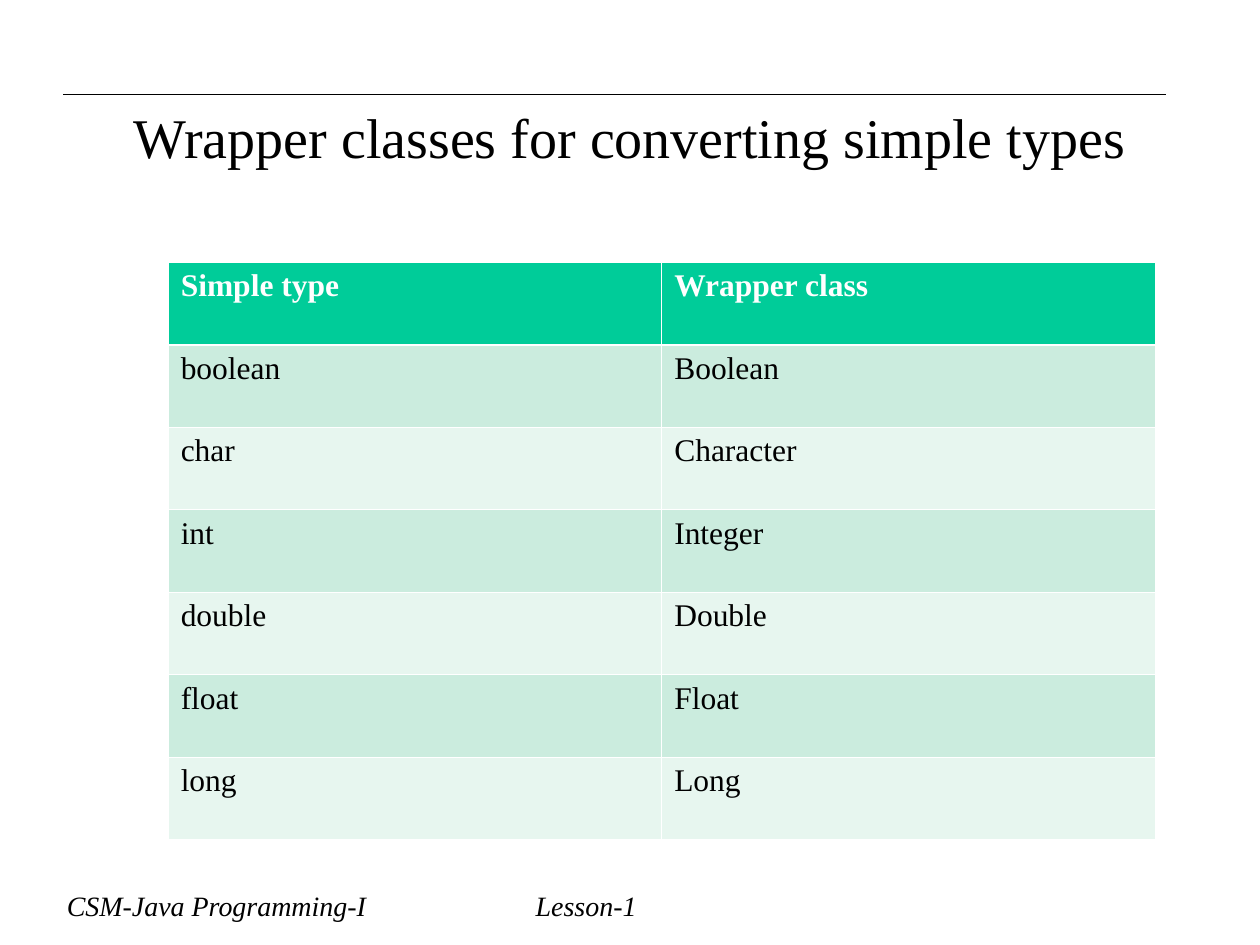
from dataclasses import dataclass

from lxml.etree import SubElement
from pptx import Presentation
from pptx.dml.color import RGBColor
from pptx.enum.shapes import MSO_CONNECTOR as Connector
from pptx.enum.text import MSO_ANCHOR as Anchor, PP_ALIGN as Align
from pptx.oxml import parse_xml
from pptx.oxml.ns import nsdecls, qn
from pptx.util import Cm, Pt

COLOURS = {
    "ink": "000000",
    "paper": "FFFFFF",
    "header": "00CC99",
    "odd": "CBECDE",
    "even": "E7F6EF",
}
FONT = "Times New Roman"
THIN, THICK = 0.45, 1.47


@dataclass(frozen=True)
class TypePair:
    simple: str
    wrapper: str


@dataclass(frozen=True)
class TextStyle:
    size: float
    colour: str = "ink"
    bold: bool = False
    italic: bool = False


@dataclass(frozen=True)
class Box:
    left: float
    top: float
    width: float
    height: float

    def lengths(self) -> tuple:
        return Cm(self.left), Cm(self.top), Cm(self.width), Cm(self.height)


HEADINGS = TypePair("Simple type", "Wrapper class")
PAIRS = [
    TypePair("boolean", "Boolean"),
    TypePair("char", "Character"),
    TypePair("int", "Integer"),
    TypePair("double", "Double"),
    TypePair("float", "Float"),
    TypePair("long", "Long"),
]


def rgb(name: str) -> RGBColor:
    return RGBColor.from_string(COLOURS[name])


def add_run(paragraph, text: str, style: TextStyle) -> None:
    run = paragraph.add_run()
    run.text = text
    run.font.name = FONT
    run.font.size = Pt(style.size)
    run.font.bold = style.bold
    run.font.italic = style.italic
    run.font.color.rgb = rgb(style.colour)


def add_text(slide, box: Box, text: str, style: TextStyle, align, anchor):
    frame = slide.shapes.add_textbox(*box.lengths()).text_frame
    frame.word_wrap = True
    frame.vertical_anchor = anchor
    frame.paragraphs[0].alignment = align
    add_run(frame.paragraphs[0], text, style)
    return frame


def add_tab_stop(paragraph, position: float) -> None:
    stops = SubElement(paragraph._p.get_or_add_pPr(), qn("a:tabLst"))
    SubElement(stops, qn("a:tab"), pos=str(Cm(position)), algn="l")


def add_rule(slide, left: float, right: float, y: float) -> None:
    rule = slide.shapes.add_connector(
        Connector.STRAIGHT, Cm(left), Cm(y), Cm(right), Cm(y)
    )
    rule.line.color.rgb = rgb("ink")
    rule.line.width = Pt(0.75)
    SubElement(rule._element.spPr, qn("a:effectLst"))


def set_borders(cell, top: float, bottom: float) -> None:
    properties = cell._tc.get_or_add_tcPr()
    widths = {"L": THIN, "R": THIN, "T": top, "B": bottom}
    for index, (side, width) in enumerate(widths.items()):
        border = parse_xml(
            f'<a:ln{side} {nsdecls("a")} w="{Pt(width)}"><a:solidFill>'
            f'<a:srgbClr val="{COLOURS["paper"]}"/></a:solidFill></a:ln{side}>'
        )
        properties.insert(index, border)


def add_type_table(slide, box: Box, pairs: list[TypePair]) -> None:
    table = slide.shapes.add_table(len(pairs), 2, *box.lengths()).table
    for row_index, pair in enumerate(pairs):
        is_header = row_index == 0
        fill = "header" if is_header else ("even", "odd")[row_index % 2]
        style = TextStyle(18, "paper" if is_header else "ink", bold=is_header)
        table.rows[row_index].height = Cm(box.height / len(pairs))
        for column, text in enumerate((pair.simple, pair.wrapper)):
            cell = table.cell(row_index, column)
            cell.fill.solid()
            cell.fill.fore_color.rgb = rgb(fill)
            set_borders(
                cell,
                top=THICK if row_index == 1 else THIN,
                bottom=THICK if is_header else THIN,
            )
            add_run(cell.text_frame.paragraphs[0], text, style)


def main() -> None:
    presentation = Presentation()
    presentation.slide_width = Cm(25.4)
    presentation.slide_height = Cm(19.05)
    slide = presentation.slides.add_slide(presentation.slide_layouts[6])

    add_rule(slide, 1.27, 23.5, 1.9)
    footer = add_text(
        slide, Box(0, 17.78, 14.17, 0.94), "CSM-Java Programming-I\tLesson-1",
        TextStyle(16, italic=True), Align.LEFT, Anchor.TOP,
    )
    footer.margin_left = Cm(1.35)
    add_tab_stop(footer.paragraphs[0], 9.45)
    add_text(
        slide, Box(1.9, 1.7, 21.6, 2.1),
        "Wrapper classes for converting simple types",
        TextStyle(32), Align.CENTER, Anchor.MIDDLE,
    )
    add_type_table(slide, Box(3.39, 5.29, 19.9, 11.64), [HEADINGS, *PAIRS])
    presentation.save("out.pptx")


if __name__ == "__main__":
    main()
